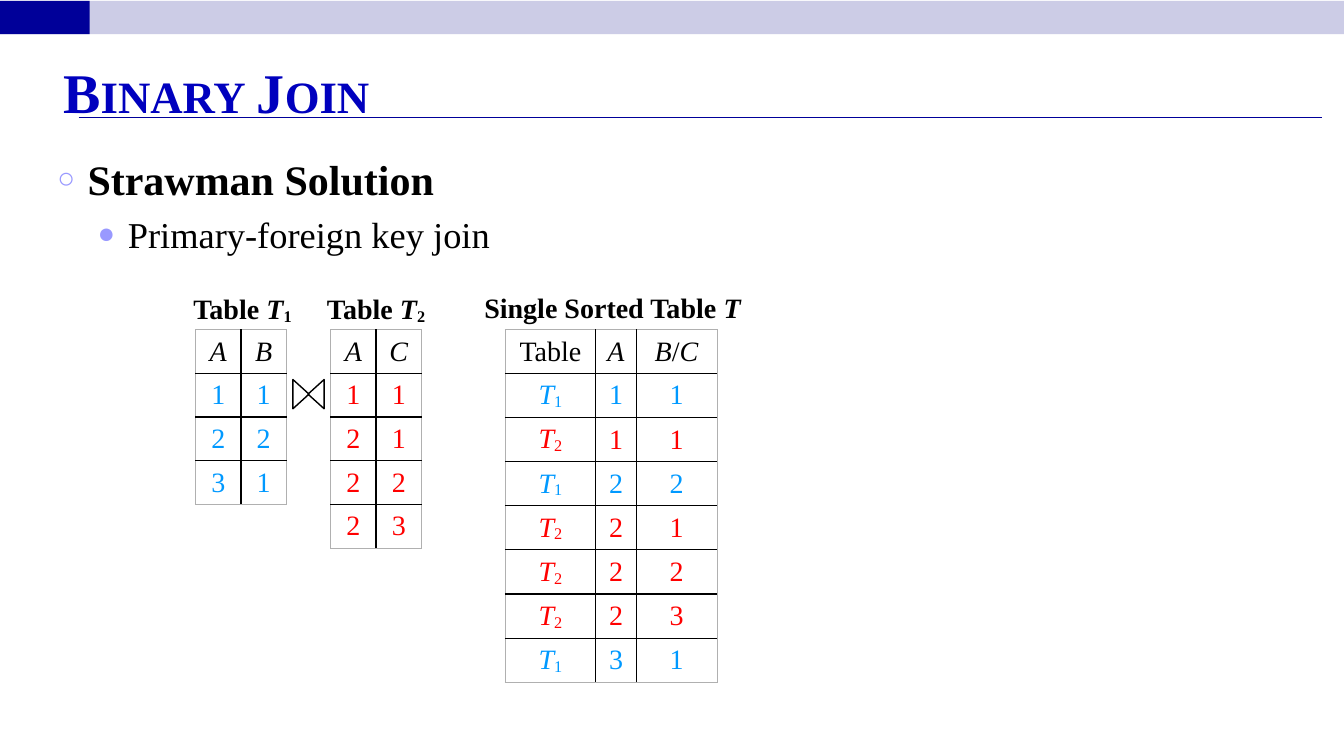
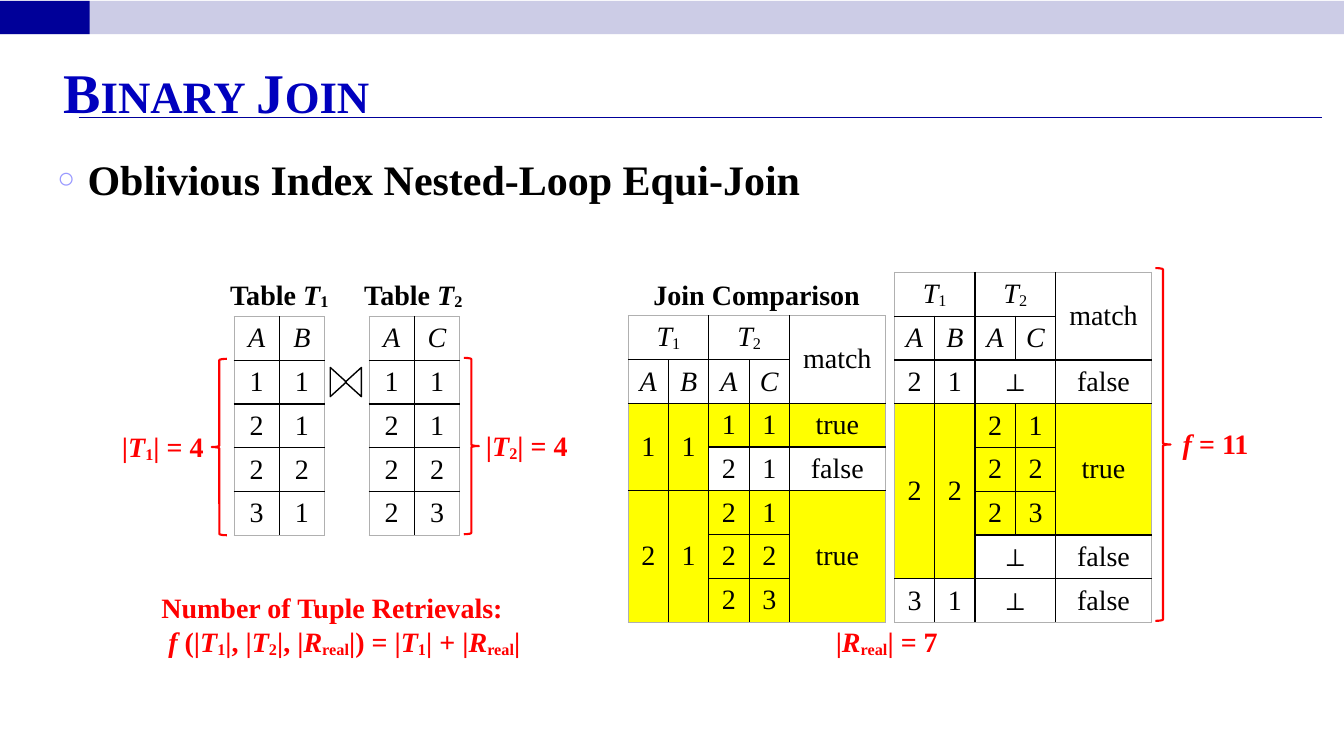
import pptx
import pptx.dml.color
import pptx.enum.shapes
import pptx.enum.text
import pptx.oxml.ns
import pptx.util
from lxml import etree
from pptx.util import Inches

rgb = pptx.dml.color.RGBColor.from_string
qn = pptx.oxml.ns.qn
kind = pptx.enum.shapes.MSO_SHAPE
side = pptx.enum.text.PP_ALIGN
mid = side.CENTER
FONT = "Times New Roman"
BLACK, BLUE, RED, GRAY = "000000", "0099FF", "FF0000", "B0B0B0"
NAVY, PALE, TITLE, DOT, GOLD = "000099", "CCCCE6", "0000BE", "9999FF", "FFFF00"


def write(para, size, hue, bold):
    """Style a paragraph; *x* is italic and ~x~ is a subscript."""
    parts = para.text.split("*")
    para.text = ""
    for i, part in enumerate(parts):
        for j, text in enumerate(part.split("~")):
            if not text:
                continue
            run = para.add_run()
            run.text = text
            run.font.name = FONT
            run.font.size = pptx.util.Pt(size)
            run.font.color.rgb = rgb(hue)
            run.font.bold = bold
            run.font.italic = i % 2 == 1
            if j % 2:
                run.font._element.set("baseline", "-10000")


def grid(page, x, y, high, wide, lines, hues):
    """Add a table: < joins the cell to its left, ^ to the one above, ! fills it."""
    rows = [line.split() for line in lines]
    tall, span = len(rows), len(wide)
    table = page.shapes.add_table(tall, span, Inches(x), Inches(y),
                                  Inches(sum(wide)), Inches(high)).table
    table.first_row = table.horz_banding = False
    for col, size in zip(table.columns, wide):
        col.width = Inches(size)
    for row in table.rows:
        row.height = Inches(high / tall)
    for r, row in enumerate(rows):
        for c, text in enumerate(row):
            if text in "<^":
                continue
            right, low = c + 1, r + 1
            while right < span and row[right] == "<":
                right += 1
            while low < tall and rows[low][c] == "^":
                low += 1
            edges = {"L": c == 0, "R": right == span, "T": r == 0, "B": low == tall}
            for i in range(r, low):
                for j in range(c, right):
                    props = table.cell(i, j)._tc.get_or_add_tcPr()
                    for edge, outer in edges.items():
                        rim = etree.SubElement(props, qn("a:ln" + edge),
                                               w="6350" if outer else "12700")
                        fill = etree.SubElement(rim, qn("a:solidFill"))
                        etree.SubElement(fill, qn("a:srgbClr"), val=GRAY if outer else BLACK)
                    if text[0] == "!":
                        table.cell(i, j).fill.solid()
                        table.cell(i, j).fill.fore_color.rgb = rgb(GOLD)
                    else:
                        table.cell(i, j).fill.background()
            cell = table.cell(r, c)
            if right > c + 1 or low > r + 1:
                cell.merge(table.cell(low - 1, right - 1))
            cell.vertical_anchor = pptx.enum.text.MSO_ANCHOR.MIDDLE
            cell.text_frame.text = text.lstrip("!")
            para = cell.text_frame.paragraphs[0]
            para.alignment = mid
            write(para, 20, hues[r], False)


deck = pptx.Presentation()
deck.slide_width, deck.slide_height = Inches(13.33), Inches(7.5)

# What differs between the slides: bullets, labels, join sign, braces
plans = [
    dict(
        heads=["Strawman Solution", "Primary-foreign key join"],
        join=(2.84, 3.83),
        braces=[],
        labels=[
            (4.62, 2.83, 2.91, mid, BLACK, "Single Sorted Table *T*"),
            (1.74, 2.84, 1.33, mid, BLACK, "Table *T*~1~"),
            (3.13, 2.84, 1.2, mid, BLACK, "Table *T*~2~"),
        ],
    ),
    dict(
        heads=["Oblivious Index Nested-Loop Equi-Join"],
        join=(3.21, 3.71),
        braces=[(kind.LEFT_BRACE, 2.1, 3.56, 1.75), (kind.RIGHT_BRACE, 4.6, 3.55, 1.75),
                (kind.RIGHT_BRACE, 11.46, 2.66, 3.5)],
        labels=[
            (2.17, 2.7, 1.2, mid, BLACK, "Table *T*~1~"),
            (3.5, 2.7, 1.2, mid, BLACK, "Table *T*~2~"),
            (6.23, 2.7, 2.55, mid, BLACK, "Join Comparison"),
            (1.21, 4.21, 1, side.LEFT, RED, "|*T*~1~| = 4"),
            (4.82, 4.2, 1, side.LEFT, RED, "|*T*~2~| = 4"),
            (11.73, 4.18, 0.9, side.LEFT, RED, "*f = *11"),
            (8.17, 6.15, 1.25, mid, RED, "|*R*~real~| = 7"),
            (1.6, 5.81, 3.63, side.LEFT, RED, "Number of Tuple Retrievals:\n"
             "*f *(|*T*~1~|, |*T*~2~|, |*R*~real~|) = |*T*~1~| + |*R*~real~|"),
        ],
    ),
]

pages = []
for plan in plans:
    page = deck.slides.add_slide(deck.slide_layouts[6])
    pages.append(page)

    # Top band and title rule
    for wide, hue in ((13.33, PALE), (0.89, NAVY)):
        band = page.shapes.add_shape(kind.RECTANGLE, 0, Inches(0.01),
                                     Inches(wide), Inches(0.33))
        band.shadow.inherit = False
        band.fill.solid()
        band.fill.fore_color.rgb = rgb(hue)
        band.line.fill.background()
    rule = page.shapes.add_connector(pptx.enum.shapes.MSO_CONNECTOR.STRAIGHT,
                                     Inches(0.78), Inches(1.17), Inches(13.11), Inches(1.17))
    rule.line.color.rgb = rgb(NAVY)
    rule.line.width = pptx.util.Pt(0.75)
    etree.SubElement(rule._element.spPr, qn("a:effectLst"))

    # Title
    frame = page.shapes.add_textbox(Inches(0.53), Inches(0.55),
                                    Inches(12.25), Inches(0.74)).text_frame
    frame.word_wrap = True
    frame.vertical_anchor = pptx.enum.text.MSO_ANCHOR.BOTTOM
    frame.text = "Binary Join"
    write(frame.paragraphs[0], 40, TITLE, True)
    frame.paragraphs[0].runs[0].font._element.set("cap", "small")

    # Bullets
    frame = page.shapes.add_textbox(Inches(0.47), Inches(1.47),
                                    Inches(11.97), Inches(5.48)).text_frame
    frame.word_wrap = True
    frame.text = "\n".join(plan["heads"])
    looks = [(30, True, 0.3, "○", "70000"), (26, False, 0.7, "●", "80000")]
    for level, (para, look) in enumerate(zip(frame.paragraphs, looks)):
        size, bold, left, mark, scale = look
        write(para, size, BLACK, bold)
        para.level = level
        para.space_before = pptx.util.Pt(6)
        props = para._p.get_or_add_pPr()
        props.set("marL", str(Inches(left)))
        props.set("indent", str(Inches(-0.3)))
        tint = etree.SubElement(props, qn("a:buClr"))
        etree.SubElement(tint, qn("a:srgbClr"), val=DOT)
        etree.SubElement(props, qn("a:buSzPct"), val=scale)
        etree.SubElement(props, qn("a:buFont"), typeface=FONT)
        etree.SubElement(props, qn("a:buChar"), char=mark)

    # Join sign (two triangles) and braces
    x, y = plan["join"]
    marks = [(kind.ISOSCELES_TRIANGLE, x + step, y, 0.29, 0.16, turn, BLACK, 1)
             for step, turn in ((0, 90), (0.15, 270))]
    marks += [(form, left, top, 0.15, high, 0, RED, 1.5)
              for form, left, top, high in plan["braces"]]
    for form, left, top, wide, high, turn, hue, thick in marks:
        mark = page.shapes.add_shape(form, Inches(left), Inches(top),
                                     Inches(wide), Inches(high))
        mark.shadow.inherit = False
        mark.rotation = turn
        mark.fill.background()
        mark.line.color.rgb = rgb(hue)
        mark.line.width = pptx.util.Pt(thick)

    # Labels
    for left, top, wide, align, hue, text in plan["labels"]:
        count = text.count("\n") + 1
        frame = page.shapes.add_textbox(Inches(left), Inches(top), Inches(wide),
                                        Inches(0.1 + 0.34 * count)).text_frame
        frame.word_wrap = True
        frame.margin_left = frame.margin_right = 0
        frame.text = text
        for i, para in enumerate(frame.paragraphs):
            para.alignment = mid if i else align
            write(para, 20, hue, True)

first, second = pages
pair = [0.45, 0.45]

# Tables of the first slide
grid(first, 1.94, 3.27, 1.73, pair, ["*A* *B*", "1 1", "2 2", "3 1"], [BLACK] + [BLUE] * 3)
foreign = ["*A* *C*", "1 1", "2 1", "2 2", "2 3"]
grid(first, 3.28, 3.27, 2.17, pair, foreign, [BLACK] + [RED] * 4)
union = ["1 1 1", "2 1 1", "1 2 2", "2 2 1", "2 2 2", "2 2 3", "1 3 1"]
grid(first, 5.01, 3.27, 3.28, [0.9, 0.4, 0.8],
     ["Table *A* *B*/*C*"] + [f"*T*~{row[0]}~{row[1:]}" for row in union],
     [BLACK] + [BLUE if row[0] == "1" else RED for row in union])

# Tables of the second slide
plain = [BLACK] * 8
grid(second, 2.32, 3.14, 2.05, pair, ["*A* *B*", "1 1", "2 1", "2 2", "3 1"], plain)
grid(second, 3.66, 3.14, 2.05, pair, foreign, plain)
wide = [0.4] * 4 + [0.95]
top = ["*T*~1~ < *T*~2~ < match", "*A* *B* *A* *C* ^"]
grid(second, 6.23, 3.13, 3.03, wide,
     top + ["!1 !1 !1 !1 !true", "^ ^ 2 1 false",
            "!2 !1 !2 !1 !true", "^ ^ !2 !2 ^", "^ ^ !2 !3 ^"], plain)
grid(second, 8.87, 2.7, 3.47, wide,
     top + ["2 1 ⊥ < false", "!2 !2 !2 !1 !true", "^ ^ !2 !2 ^", "^ ^ !2 !3 ^",
            "^ ^ ⊥ < false", "3 1 ⊥ < false"], plain)

deck.save("out.pptx")
